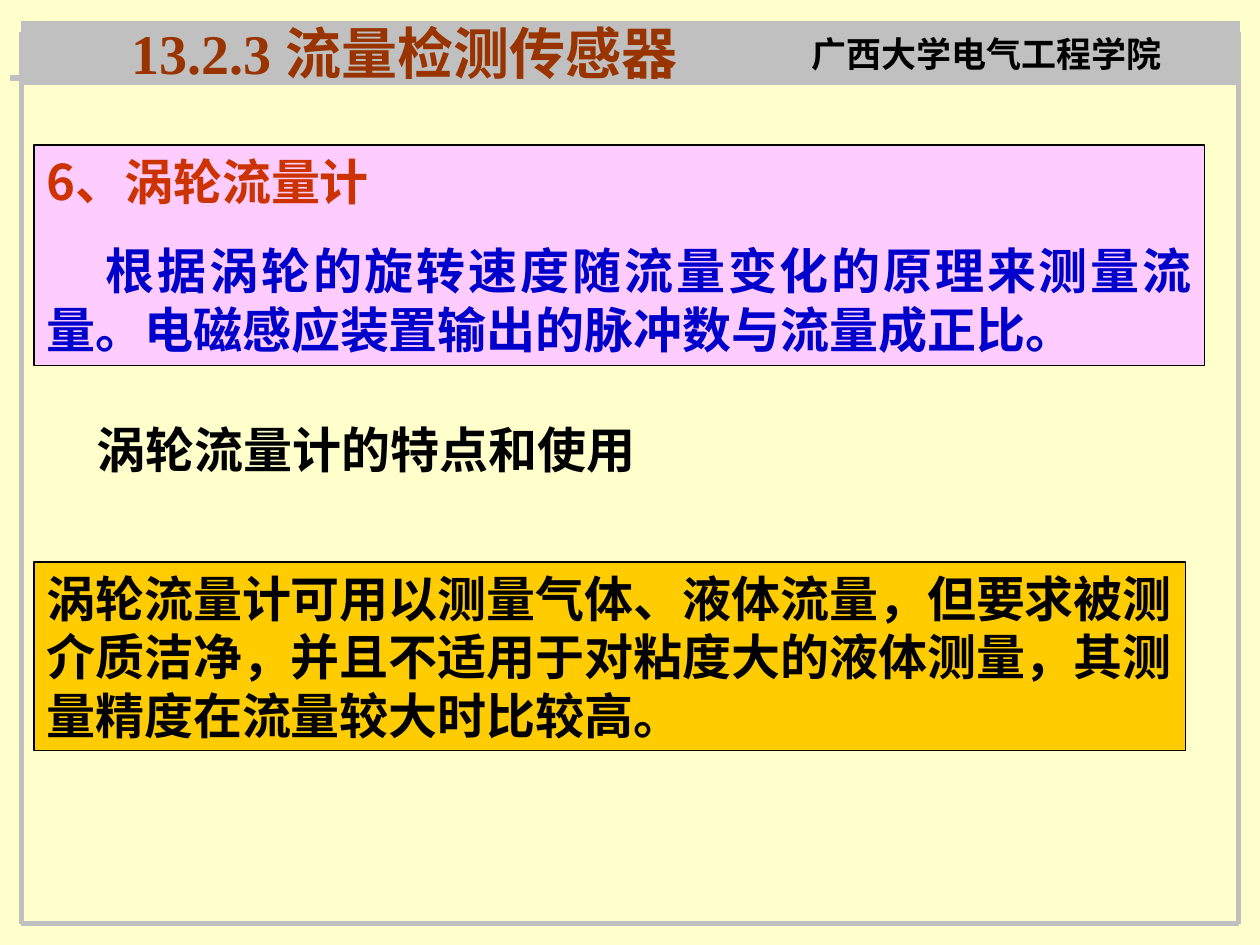
from lxml import etree
from pptx import Presentation
from pptx.dml.color import RGBColor
from pptx.enum.shapes import MSO_CONNECTOR, MSO_SHAPE
from pptx.enum.text import MSO_ANCHOR, PP_ALIGN
from pptx.oxml.ns import qn
from pptx.util import Inches, Pt

CREAM = RGBColor(0xFF, 0xFF, 0xCC)
GRAY = RGBColor(0xC0, 0xC0, 0xC0)
PINK = RGBColor(0xFF, 0xCC, 0xFF)
GOLD = RGBColor(0xFF, 0xCC, 0x00)
BLACK = RGBColor(0x00, 0x00, 0x00)
BROWN = RGBColor(0x99, 0x33, 0x00)
RED = RGBColor(0xCC, 0x33, 0x00)
BLUE = RGBColor(0x00, 0x00, 0xCC)

SANS = "Noto Sans CJK SC"
SERIF = "Times New Roman"
LEFT, JUSTIFY = PP_ALIGN.LEFT, PP_ALIGN.JUSTIFY
TOP, MIDDLE = MSO_ANCHOR.TOP, MSO_ANCHOR.MIDDLE
RECT, STRAIGHT = MSO_SHAPE.RECTANGLE, MSO_CONNECTOR.STRAIGHT


def add_line(slide, x1, y1, x2, y2):
    line = slide.shapes.add_connector(
        STRAIGHT, Inches(x1), Inches(y1), Inches(x2), Inches(y2))
    line.line.color.rgb = GRAY
    line.line.width = Pt(3)
    etree.SubElement(line._element.spPr, qn("a:effectLst"))


def add_panel(slide, box, fill, edge):
    panel = slide.shapes.add_shape(RECT, *map(Inches, box))
    panel.shadow.inherit = False
    panel.fill.solid()
    panel.fill.fore_color.rgb = fill
    panel.line.color.rgb = edge
    panel.line.width = Pt(0.75)
    return panel


def add_label(slide, box):
    return slide.shapes.add_textbox(*map(Inches, box))


def style(para, size, color, font=SANS, align=LEFT):
    """Format a paragraph and keep its punctuation inside the margins."""
    para.alignment = align
    para.line_spacing = Pt(size * 1.2)
    para._p.get_or_add_pPr().set("hangingPunct", "0")
    for run in para.runs:
        run.font.size = Pt(size)
        run.font.bold = True
        run.font.color.rgb = color
        run.font.name = font
        east = etree.SubElement(run.font._element, qn("a:ea"))
        east.set("typeface", SANS)


def set_text(shape, text, anchor=TOP, wrap=True):
    frame = shape.text_frame
    frame.word_wrap = wrap
    frame.vertical_anchor = anchor
    frame.text = text
    return frame.paragraphs


def add_frame(slide):
    add_line(slide, 0.08, 0.62, 9.75, 0.62)
    add_panel(slide, (0.17, 0.17, 9.67, 0.5), GRAY, GRAY)
    for x in (0.17, 9.83):
        add_line(slide, x, 0.25, x, 7.33)
    add_line(slide, 0.17, 7.33, 9.83, 7.33)
    school = add_label(slide, (6.34, 0.21, 3.41, 0.44))
    style(set_text(school, "广西大学电气工程学院")[0], 20, BLACK, SERIF)


def add_title(slide):
    title = slide.shapes.title
    title.left, title.top = Inches(0.94), Inches(0.1)
    title.width, title.height = Inches(5), Inches(0.64)
    paras = set_text(title, "13.2.3 流量检测传感器")
    style(paras[0], 32, BROWN, SERIF)
    # The title comes last so that it lies over the header bar
    slide.shapes._spTree.append(title._element)


def add_body(slide):
    intro = add_panel(slide, (0.27, 1.15, 9.29, 1.75), PINK, BLACK)
    head, rule = set_text(
        intro, "6、涡轮流量计\n"
        "根据涡轮的旋转速度随流量变化的原理来测量流量。"
        "电磁感应装置输出的脉冲数与流量成正比。")
    style(head, 28, RED, align=JUSTIFY)
    style(rule, 28, BLUE, align=JUSTIFY)
    rule.space_before = Pt(17.5)
    rule._p.get_or_add_pPr().set("indent", str(Inches(0.47)))

    topic = add_label(slide, (0.67, 3.28, 4.48, 0.57))
    paras = set_text(topic, "涡轮流量计的特点和使用", MIDDLE, wrap=False)
    style(paras[0], 28, BLACK)

    usage = add_panel(slide, (0.27, 4.46, 9.14, 1.5), GOLD, BLACK)
    paras = set_text(
        usage, "涡轮流量计可用以测量气体、液体流量，但要求被测介质洁净，"
        "并且不适用于对粘度大的液体测量，其测量精度在流量较大时比较高。", MIDDLE)
    style(paras[0], 28, BLACK)


def main():
    deck = Presentation()
    deck.slide_width, deck.slide_height = Inches(10), Inches(7.5)
    slide = deck.slides.add_slide(deck.slide_layouts[5])
    slide.background.fill.solid()
    slide.background.fill.fore_color.rgb = CREAM
    add_frame(slide)
    add_body(slide)
    add_title(slide)
    deck.save("out.pptx")


if __name__ == "__main__":
    main()
